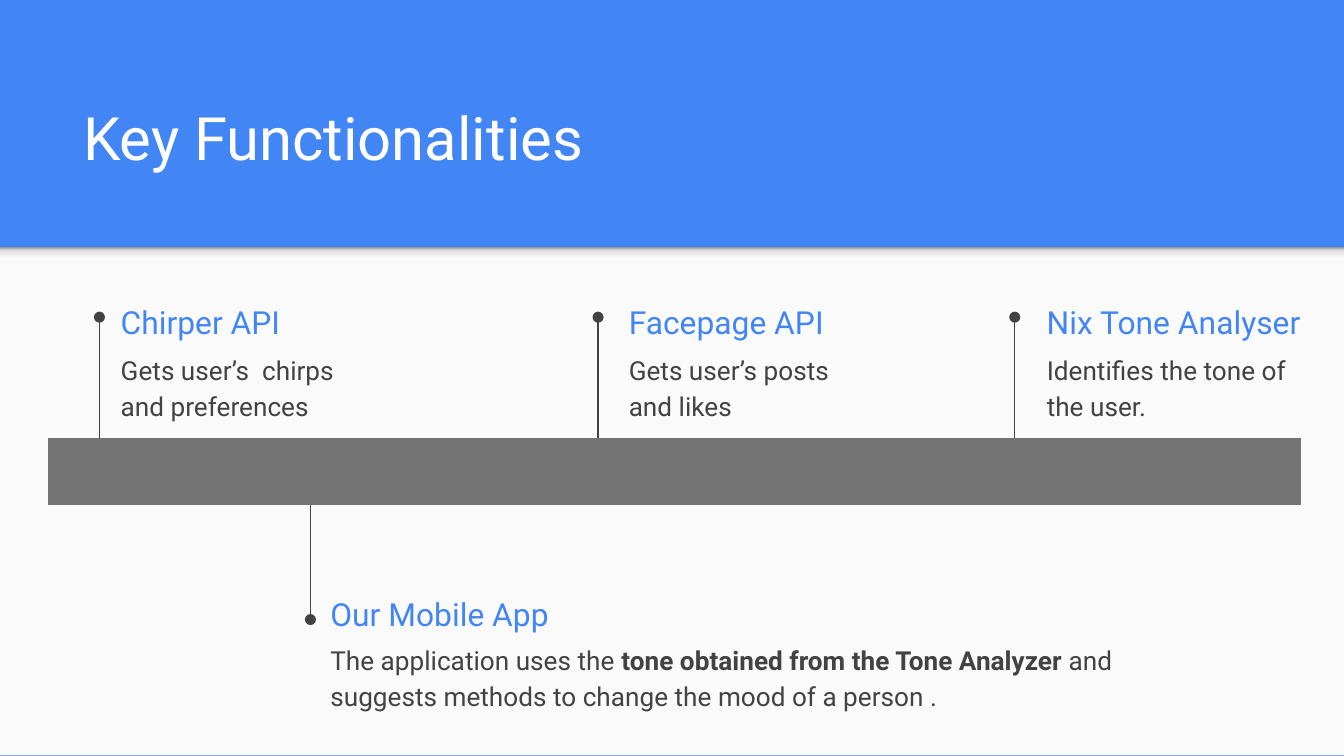
from lxml.etree import SubElement as Sub
from pptx import Presentation
from pptx.dml.color import RGBColor as Rgb
from pptx.enum.shapes import MSO_CONNECTOR as Link, MSO_SHAPE as Kind
from pptx.enum.text import MSO_ANCHOR as Anchor
from pptx.oxml.ns import qn
from pptx.util import Inches, Pt

BLUE, DARK, PALE, GRAY = "4285F4", "424242", "FAFAFA", "737373"
TITLE = "Key Functionalities"
SHADE = [(0, "F9F9F9"), (36, "F9F9F9"), (80, "DEDEDE"), (100, "999999")]
HEAD = {"size": Pt(17), "color": BLUE}
BODY = {"size": Pt(14), "color": DARK}
BAR = {"left": 0.36, "top": 3.26, "width": 9.32, "height": 0.42, "cols": 12}
PAD = Inches(0.1)
ABOVE = {"dot": 2.36, "base": 3.27, "head": 2.18, "body": 2.5}
BELOW = {"dot": 4.61, "base": 3.69, "head": 4.35, "body": 4.66}
ITEMS = [
    (0.74, 0.8, 1.98, 1.98, ABOVE, "Chirper API",
     [("Gets user’s  chirps and preferences", False)]),
    (2.31, 2.36, 1.98, 6.53, BELOW, "Our Mobile App",
     [("The application uses the ", False),
      ("tone obtained from the Tone Analyzer", True),
      (" and suggests methods to change the mood of a person .", False)]),
    (4.45, 4.58, 1.98, 1.98, ABOVE, "Facepage API",
     [("Gets user’s posts and likes", False)]),
    (7.55, 7.69, 2.16, 1.98, ABOVE, "Nix Tone Analyser",
     [("Identifies the tone of the user.", False)]),
]


def paint(fill, tone):
    fill.solid()
    fill.fore_color.rgb = Rgb.from_string(tone)


def rect(slide, *box):
    shape = slide.shapes.add_shape(Kind.RECTANGLE, *map(Inches, box))
    shape.shadow.inherit = False
    shape.line.fill.background()
    return shape


def text(slide, box, runs, style, anchor, low=PAD, **para):
    frame = slide.shapes.add_textbox(*map(Inches, box)).text_frame
    look = {"word_wrap": True, "vertical_anchor": anchor,
            "margin_left": PAD, "margin_right": PAD,
            "margin_top": PAD, "margin_bottom": low}
    for key, value in look.items():
        setattr(frame, key, value)
    line = frame.paragraphs[0]
    for key, value in para.items():
        setattr(line, key, value)
    for words, bold in runs:
        run = line.add_run()
        run.text = words
        font = {"name": "Roboto", "size": style["size"], "bold": bold}
        for key, value in font.items():
            setattr(run.font, key, value)
        run.font.color.rgb = Rgb.from_string(style["color"])


def pin(slide, x, start, end):
    line = slide.shapes.add_connector(
        Link.STRAIGHT, *map(Inches, (x, start, x, end)))
    line.line.width = Pt(0.75)
    paint(line.line.fill, DARK)
    Sub(line.line._get_or_add_ln(), qn("a:tailEnd"), type="oval")
    Sub(line._element.spPr, qn("a:effectLst"))


def shade(shape):
    shape.fill.gradient()
    shape.fill.gradient_angle = 90
    stops = shape._element.spPr.find(".//" + qn("a:gsLst"))
    for stop in list(stops):
        stops.remove(stop)
    for spot, tone in SHADE:
        stop = Sub(stops, qn("a:gs"), pos=str(spot * 1000))
        Sub(stop, qn("a:srgbClr"), val=tone)


def bar(slide):
    box = [Inches(BAR[key]) for key in ("left", "top", "width", "height")]
    frame = slide.shapes.add_table(1, BAR["cols"], *box)
    style = frame._element.find(".//" + qn("a:tableStyleId"))
    style.text = "{2D5ABB26-0587-4C30-8999-92F81FD0307C}"
    for cell in frame.table.iter_cells():
        paint(cell.fill, GRAY)
        for side in ("left", "right", "top", "bottom"):
            setattr(cell, "margin_" + side, PAD)


def main():
    deck = Presentation()
    deck.slide_width = Inches(10)
    deck.slide_height = deck.slide_width * 9 // 16
    slide = deck.slides.add_slide(deck.slide_layouts[6])
    paint(slide.background.fill, BLUE)
    paint(rect(slide, 0, 1.84, 10, 3.78).fill, PALE)
    shade(rect(slide, 0, 1.84, 10, 0.12))
    text(slide, (0.52, 0.81, 8.99, 0.84), [(TITLE, False)],
         {"size": Pt(32), "color": "FFFFFF"}, Anchor.BOTTOM, low=Inches(0.37))
    for x, left, wide, span, row, name, runs in ITEMS:
        pin(slide, x, row["base"], row["dot"])
        text(slide, (left, row["head"], wide, 0.43), [(name, False)],
             HEAD, Anchor.MIDDLE)
        text(slide, (left, row["body"], span, 0.63), runs, BODY, Anchor.TOP,
             line_spacing=1.15, space_after=Pt(16))
    bar(slide)
    deck.save("out.pptx")


if __name__ == "__main__":
    main()
